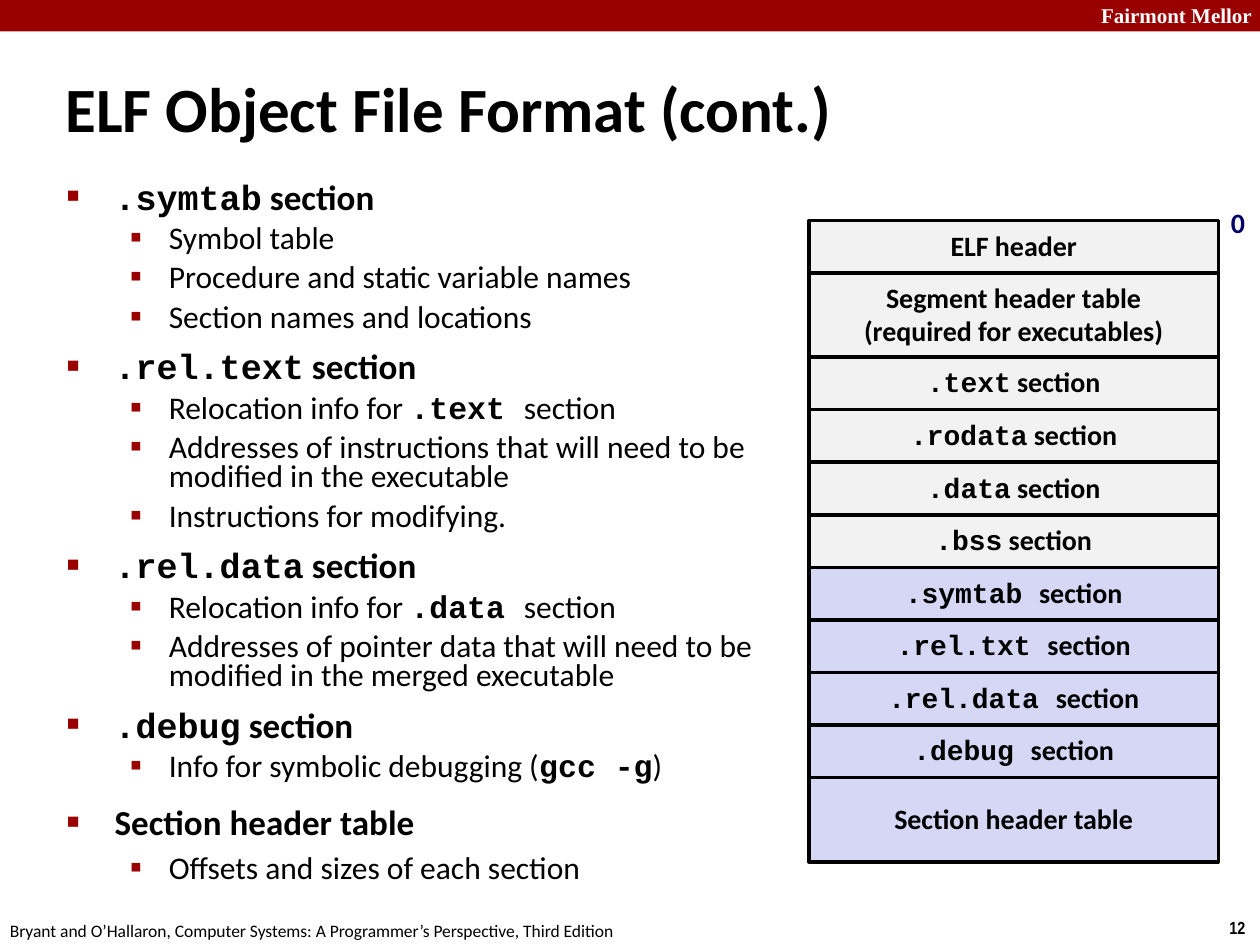
from lxml.etree import SubElement
from pptx import Presentation
from pptx.dml.color import RGBColor as Rgb
from pptx.enum.shapes import MSO_SHAPE as Preset
from pptx.enum.text import MSO_ANCHOR as Anchor, MSO_AUTO_SIZE as Fit, PP_ALIGN as Align
from pptx.oxml.ns import qn
from pptx.util import Inches, Pt

THEME = {
    "sans": "Calibri", "mono": "Courier New", "serif": "Times New Roman", "narrow": "Arial Narrow",
    "black": "000000", "white": "FFFFFF", "red": "990000", "navy": "000066",
    "grey": "F2F2F2", "lilac": "D6D6F5",
    "title": 36, "topic": 20, "detail": 18, "box": 16, "banner": 12, "footer": 10,
}

TITLE = "ELF Object File Format (cont.)"

TOPIC, DETAIL = 0, 1
OUTLINE = [
    (TOPIC, 0.71, [("mono", ".symtab"), ("sans", " section")]),
    (DETAIL, 0.78, [("sans", "Symbol table")]),
    (DETAIL, 0.78, [("sans", "Procedure and static variable names")]),
    (DETAIL, 0.78, [("sans", "Section names and locations")]),
    (TOPIC, 0.71, [("mono", ".rel.text"), ("sans", " section")]),
    (DETAIL, 0.78, [("sans", "Relocation info for "), ("mono", ".text "), ("sans", "section")]),
    (DETAIL, 0.78, [("sans", "Addresses of instructions that will need to be modified in the executable")]),
    (DETAIL, 0.78, [("sans", "Instructions for modifying.")]),
    (TOPIC, 0.71, [("mono", ".rel.data"), ("sans", " section")]),
    (DETAIL, 0.78, [("sans", "Relocation info for "), ("mono", ".data "), ("sans", "section")]),
    (DETAIL, 0.78, [("sans", "Addresses of pointer data that will need to be modified in the merged executable")]),
    (TOPIC, 0.71, [("mono", ".debug"), ("sans", " section")]),
    (DETAIL, 0.78, [("sans", "Info for symbolic debugging ("), ("mono", "gcc -g"), ("sans", ")")]),
    (TOPIC, 0.88, [("sans", "Section header table")]),
    (DETAIL, 0.88, [("sans", "Offsets and sizes of each section")]),
]
LEVELS = {
    TOPIC: {"size": "topic", "bold": True, "before": 12.5, "left": 0.38, "hang": 0.38,
            "bullet": "■", "scale": 60},
    DETAIL: {"size": "detail", "bold": False, "before": 5.6, "left": 0.81, "hang": 0.31,
             "bullet": "▪", "scale": 110},
}

SECTIONS = [
    ("grey", 1, [[("sans", "ELF header")]]),
    ("grey", 1.6, [[("sans", "Segment header table")], [("sans", "(required for executables)")]]),
    ("grey", 1, [[("mono", ".text"), ("sans", " section")]]),
    ("grey", 1, [[("mono", ".rodata"), ("sans", " section")]]),
    ("grey", 1, [[("mono", ".data"), ("sans", " section")]]),
    ("grey", 1, [[("mono", ".bss"), ("sans", " section")]]),
    ("lilac", 1, [[("mono", ".symtab "), ("sans", "section")]]),
    ("lilac", 1, [[("mono", ".rel.txt "), ("sans", "section")]]),
    ("lilac", 1, [[("mono", ".rel.data "), ("sans", "section")]]),
    ("lilac", 1, [[("mono", ".debug "), ("sans", "section")]]),
    ("lilac", 1.6, [[("sans", "Section header table")]]),
]
STACK_LEFT, STACK_TOP, STACK_WIDTH, STACK_BOTTOM = 6.42, 1.75, 3.25, 6.84

LABELS = [
    ("Fairmont Mellor", (8.64, -0.03, 1.43, 0.3), "serif", "banner", "white", True),
    ("12", (9.66, 7.23, 0.34, 0.27), "narrow", "footer", "black", True),
    ("Bryant and O’Hallaron, Computer Systems: A Programmer’s Perspective, Third Edition",
     (-0.02, 7.25, 5.08, 0.27), "sans", "footer", "black", False),
    ("0", (9.67, 1.58, 0.31, 0.37), "sans", "box", "navy", True),
]


def add_run(paragraph, text, face, size, color="black", bold=True):
    run = paragraph.add_run()
    run.text = text
    font = run.font
    font.name, font.size, font.bold = THEME[face], Pt(THEME[size]), bold
    font.color.rgb = Rgb.from_string(THEME[color])


def paragraphs(frame, count):
    return [frame.paragraphs[0]] + [frame.add_paragraph() for _ in range(count - 1)]


def place(shape, left, top, width, height):
    shape.left, shape.top = Inches(left), Inches(top)
    shape.width, shape.height = Inches(width), Inches(height)


def add_box(slide, area, fill):
    box = slide.shapes.add_shape(Preset.RECTANGLE, *map(Inches, area))
    box.shadow.inherit = False
    box.fill.solid()
    box.fill.fore_color.rgb = Rgb.from_string(THEME[fill])
    return box


def add_bullet(paragraph, level):
    props = paragraph._p.get_or_add_pPr()
    props.set("marL", str(Inches(level["left"])))
    props.set("indent", str(-Inches(level["hang"])))
    SubElement(SubElement(props, qn("a:buClr")), qn("a:srgbClr"), val=THEME["red"])
    SubElement(props, qn("a:buSzPct"), val=str(level["scale"] * 1000))
    SubElement(props, qn("a:buChar"), char=level["bullet"])


def add_title(slide):
    title = slide.shapes.title
    place(title, 0.42, 0.42, 9.53, 0.86)
    frame = title.text_frame
    frame.auto_size, frame.vertical_anchor = Fit.NONE, Anchor.MIDDLE
    frame.paragraphs[0].alignment = Align.LEFT
    add_run(frame.paragraphs[0], TITLE, "sans", "title")


def add_outline(slide):
    body = slide.placeholders[1]
    place(body, 0.43, 1.43, 5.77, 5.98)
    frame = body.text_frame
    frame.auto_size, frame.vertical_anchor = Fit.NONE, Anchor.TOP
    for paragraph, (depth, spacing, parts) in zip(paragraphs(frame, len(OUTLINE)), OUTLINE):
        level = LEVELS[depth]
        paragraph.level = depth
        paragraph.line_spacing = spacing
        paragraph.space_before = Pt(level["before"])
        add_bullet(paragraph, level)
        for face, text in parts:
            add_run(paragraph, text, face, level["size"], bold=level["bold"] or face == "mono")


def add_sections(slide):
    unit = (STACK_BOTTOM - STACK_TOP) / sum(share for _, share, _ in SECTIONS)
    top = STACK_TOP
    for fill, share, lines in SECTIONS:
        box = add_box(slide, (STACK_LEFT, top, STACK_WIDTH, unit * share), fill)
        box.line.color.rgb = Rgb.from_string(THEME["black"])
        box.line.width = Pt(2)
        frame = box.text_frame
        frame.word_wrap, frame.vertical_anchor = False, Anchor.MIDDLE
        for paragraph, parts in zip(paragraphs(frame, len(lines)), lines):
            paragraph.alignment = Align.CENTER
            paragraph.line_spacing = 0.94 if parts[0][0] == "mono" else 0.98
            for face, text in parts:
                add_run(paragraph, text, face, "box")
        top += unit * share


def add_labels(slide):
    for text, area, face, size, color, bold in LABELS:
        label = slide.shapes.add_textbox(*map(Inches, area))
        label.text_frame.word_wrap = False
        add_run(label.text_frame.paragraphs[0], text, face, size, color, bold)


def main():
    deck = Presentation()
    deck.slide_width, deck.slide_height = Inches(10), Inches(7.5)
    slide = deck.slides.add_slide(deck.slide_layouts[1])
    add_box(slide, (0, 0, 10, 0.25), "red").line.fill.background()
    add_title(slide)
    add_outline(slide)
    add_sections(slide)
    add_labels(slide)
    deck.save("out.pptx")


if __name__ == "__main__":
    main()
